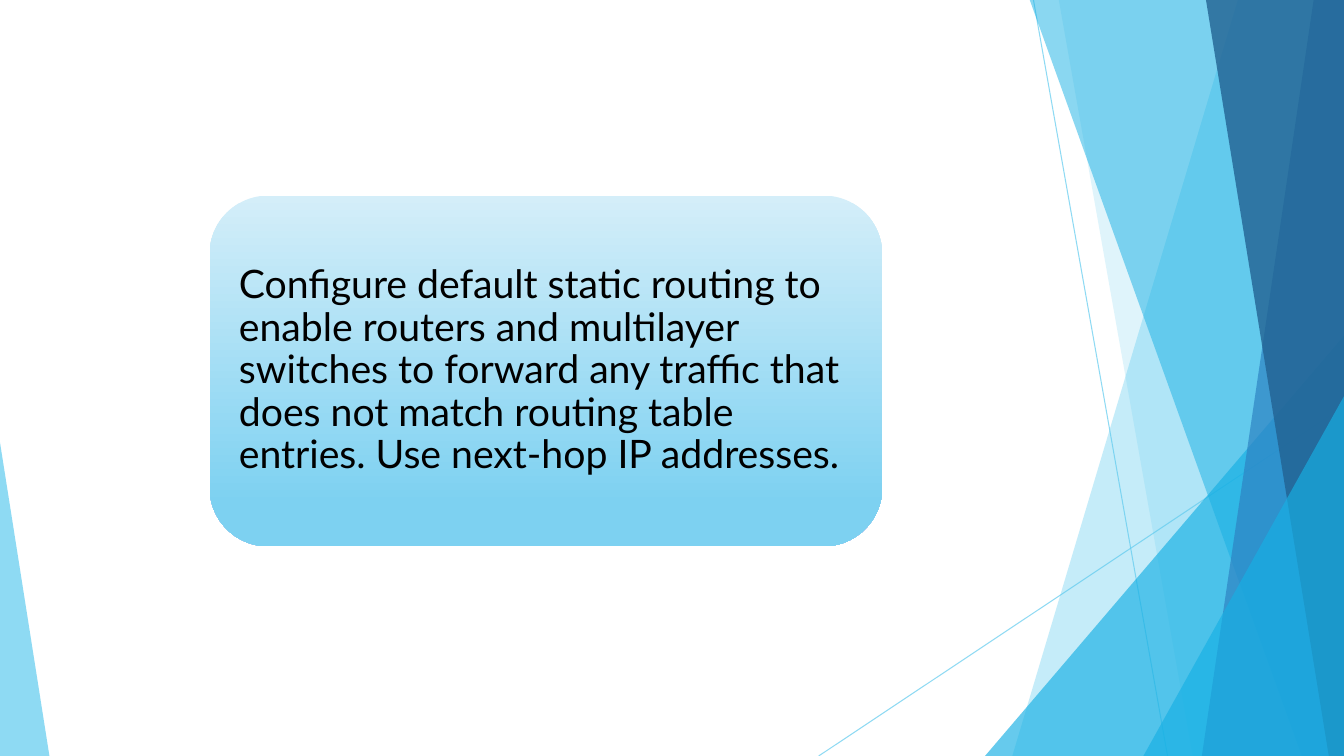
from lxml import etree
from pptx import Presentation
from pptx.dml.color import RGBColor
from pptx.enum.shapes import MSO_CONNECTOR as Connector, MSO_SHAPE as Shape
from pptx.enum.text import MSO_ANCHOR as Anchor, PP_ALIGN as Align
from pptx.oxml.ns import qn
from pptx.util import Inches, Pt

SKY = RGBColor(0x5F, 0xCB, 0xEF)
CYAN = RGBColor(0x17, 0xB0, 0xE4)
BLUE = RGBColor(0x2E, 0x83, 0xC3)
NAVY = RGBColor(0x22, 0x62, 0x92)
CARD_TOP = RGBColor(0xD4, 0xEE, 0xF9)
CARD_BOTTOM = RGBColor(0x7D, 0xD1, 0xF1)
BLACK = RGBColor(0, 0, 0)

WIDTH, HEIGHT = 13.33, 7.5
TOP = -0.01
MESSAGE = (
    "Configure default static routing to enable routers and multilayer "
    "switches to forward any traffic that does not match routing table "
    "entries. Use next-hop IP addresses."
)


def set_opacity(part, percent):
    color = next(part._element.spPr.iter(qn("a:srgbClr")))
    etree.SubElement(color, qn("a:alpha")).set("val", str(percent * 1000))


def paint(shape, color, opacity):
    shape.shadow.inherit = False
    shape.line.fill.background()
    shape.fill.solid()
    shape.fill.fore_color.rgb = color
    set_opacity(shape, opacity)


def add_ray(slide, start, end):
    ray = slide.shapes.add_connector(
        Connector.STRAIGHT, *(Inches(value) for value in start + end))
    ray.line.color.rgb = SKY
    ray.line.width = Pt(0.75)
    set_opacity(ray, 70)
    etree.SubElement(ray._element.spPr, qn("a:effectLst"))


def add_band(slide, top_x, bottom_x, color, opacity):
    """Band from a slanted left edge to the right side of the slide."""
    right, top, bottom = Inches(WIDTH), Inches(TOP), Inches(HEIGHT)
    builder = slide.shapes.build_freeform(Inches(top_x), top)
    builder.add_line_segments(
        [(right, top), (right, bottom), (Inches(bottom_x), bottom)])
    paint(builder.convert_to_shape(), color, opacity)


def add_corner(slide, left, top, width, apex, color, opacity):
    """Triangle standing on the bottom edge of the slide."""
    corner = slide.shapes.add_shape(
        Shape.ISOSCELES_TRIANGLE, Inches(left), Inches(top),
        Inches(width), Inches(HEIGHT - top))
    corner.adjustments[0] = apex
    paint(corner, color, opacity)


def add_backdrop(slide):
    # Thin crossing lines
    add_ray(slide, (10.25, 0), (11.58, HEIGHT))
    add_ray(slide, (WIDTH, 4.03), (8.12, HEIGHT))
    # Overlapping facets, back to front
    add_band(slide, 12.28, 10.04, SKY, 36)
    add_band(slide, 10.5, 11.83, SKY, 20)
    add_corner(slide, 9.77, 3.33, 3.56, 1, CYAN, 66)
    add_band(slide, 10.21, 12.91, CYAN, 50)
    add_band(slide, 13.03, 11.92, BLUE, 70)
    add_band(slide, 11.96, 13.18, NAVY, 80)
    add_corner(slide, 11.34, 3.93, 1.99, 1, CYAN, 66)
    add_corner(slide, 0, 4.39, 0.49, 0, SKY, 70)


def add_card(slide, left, top, width, height, text):
    card = slide.shapes.add_shape(
        Shape.ROUNDED_RECTANGLE, Inches(left), Inches(top),
        Inches(width), Inches(height))
    card.shadow.inherit = False
    card.line.fill.background()
    # Vertical gradient, light at the top
    card.fill.gradient()
    card.fill.gradient_angle = 270
    stops = ((0, CARD_TOP), (0.88, CARD_BOTTOM))
    for stop, (position, color) in zip(card.fill.gradient_stops, stops):
        stop.position = position
        stop.color.rgb = color
    # Message
    frame = card.text_frame
    frame.word_wrap = True
    frame.vertical_anchor = Anchor.MIDDLE
    frame.margin_left = frame.margin_right = Inches(0.12)
    frame.margin_top = frame.margin_bottom = Inches(0.12)
    frame.text = text
    para = frame.paragraphs[0]
    para.alignment = Align.LEFT
    para.line_spacing = 0.9
    font = para.runs[0].font
    font.name = "Lato"
    font.size = Pt(28)
    font.color.rgb = BLACK


def main():
    deck = Presentation()
    deck.slide_width, deck.slide_height = Inches(WIDTH), Inches(HEIGHT)
    slide = deck.slides.add_slide(deck.slide_layouts.get_by_name("Blank"))
    add_backdrop(slide)
    add_card(slide, 2.08, 1.94, 6.67, 3.48, MESSAGE)
    deck.save("out.pptx")


if __name__ == "__main__":
    main()
